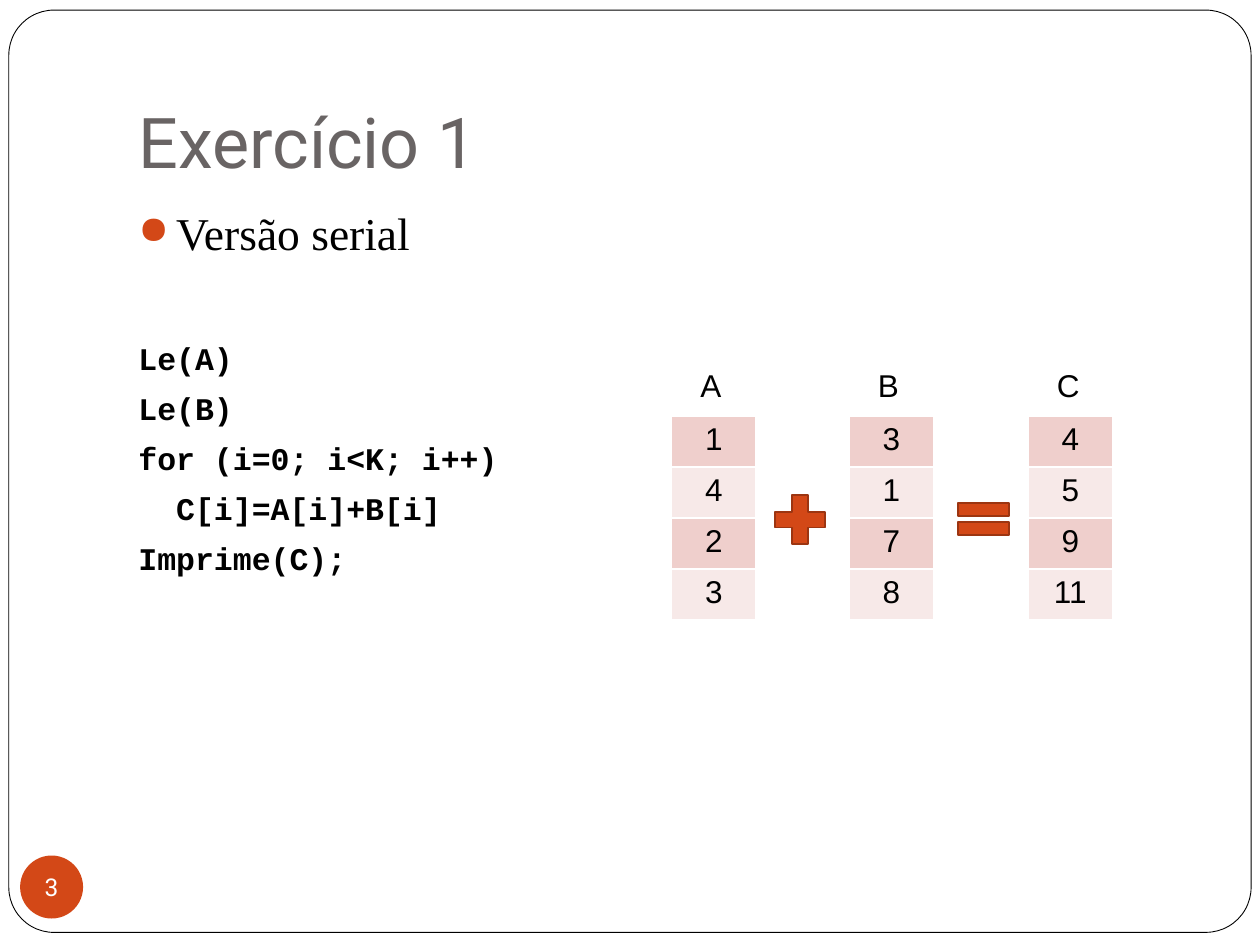
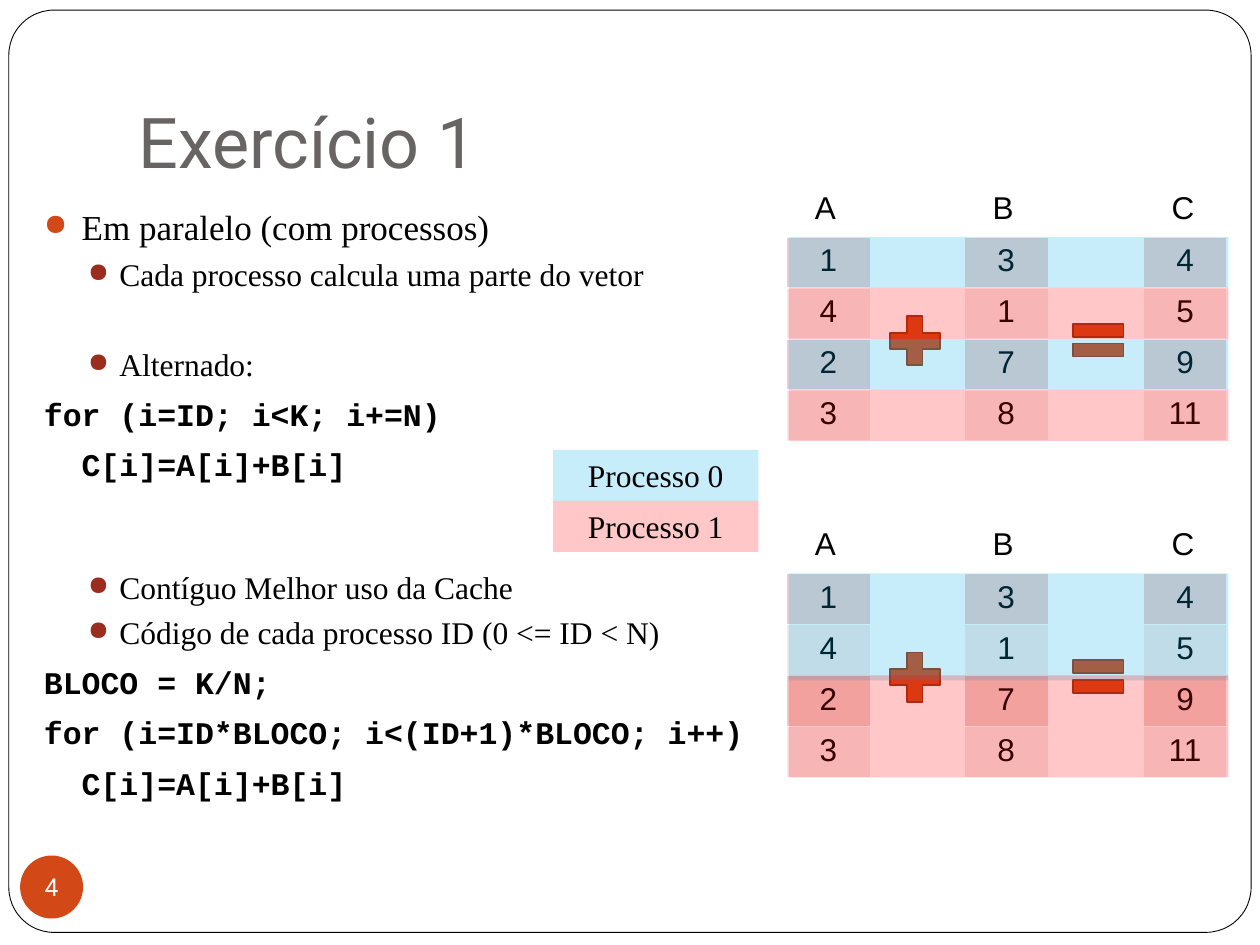
"""Build two slides on adding vectors, serially and in parallel."""
from dataclasses import dataclass

from lxml import etree
from pptx import Presentation
from pptx.dml.color import RGBColor
from pptx.enum import shapes, text
from pptx.oxml import ns
from pptx.util import Inches, Pt


@dataclass(frozen=True)
class Theme:
    """Colours, fonts and type sizes shared by the slides."""
    title: str = "696464"
    accent: str = "D34817"
    accent_line: str = "9C3511"
    sub_bullet: str = "9B2D1F"
    black: str = "000000"
    white: str = "FFFFFF"
    rows: tuple = ("EFCFCC", "F7E9E8")
    processes: tuple = ("00B0F0", "FF0000")
    opacity: int = 22
    heading_font: str = "Roboto"
    body_font: str = "Times New Roman"
    code_font: str = "Courier New"
    vector_font: str = "Arial"
    title_size: int = 40
    text_size: int = 18
    number_size: int = 14


THEME = Theme()


@dataclass(frozen=True)
class Line:
    """One paragraph of body text; extra is added space above, in points."""
    words: str
    kind: str = "code"
    size: int = THEME.text_size
    extra: float = 0


@dataclass(frozen=True)
class LineKind:
    """Indents in inches, space above in points, bullet colour and font."""
    margin: float
    hanging: float
    before: float
    bullet: str = ""
    font: str = THEME.body_font
    bold: bool = False


@dataclass(frozen=True)
class Vector:
    """A named column of numbers and its offset within the sum."""
    name: str
    values: tuple
    offset: float


KINDS = {
    "point": LineKind(0.3, -0.3, 5.8, THEME.accent),
    "sub": LineKind(0.6, -0.25, 4.5, THEME.sub_bullet),
    "code": LineKind(0, 0, 7, font=THEME.code_font, bold=True),
    "inner": LineKind(0.3, 0, 7, font=THEME.code_font, bold=True),
}
VECTORS = (
    Vector("A", (1, 4, 2, 3), 0),
    Vector("B", (3, 1, 7, 8), 1.41),
    Vector("C", (4, 5, 9, 11), 2.83),
)
CELL_WIDTH, ROW_HEIGHT = 0.67, 0.405
BAND_INSET, BAND_WIDTH = 0.02, 3.49

SERIAL = (
    Line("Versão serial", "point", 26),
    Line("Le(A)", extra=38),
    Line("Le(B)"),
    Line("for (i=0; i<K; i++)"),
    Line("C[i]=A[i]+B[i]", "inner"),
    Line("Imprime(C);"),
)
PARALLEL = (
    Line("Em paralelo (com processos)", "point", 20),
    Line("Cada processo calcula uma parte do vetor", "sub"),
    Line("Alternado:", "sub", extra=25.2),
    Line("for (i=ID; i<K; i+=N)"),
    Line("C[i]=A[i]+B[i]", "inner"),
    Line("Contíguo Melhor uso da Cache", "sub", extra=44),
    Line("Código de cada processo ID (0 <= ID < N)", "sub"),
    Line("BLOCO = K/N;"),
    Line("for (i=ID*BLOCO; i<(ID+1)*BLOCO; i++)"),
    Line("C[i]=A[i]+B[i]", "inner"),
)


def rgb(colour: str) -> RGBColor:
    """Turn a hex string into a colour."""
    return RGBColor.from_string(colour)


def box(left: float, top: float, width: float, height: float) -> tuple:
    """Turn inches into the four lengths of a frame."""
    return tuple(Inches(value) for value in (left, top, width, height))


def write(paragraph, words: str, *, size: float = THEME.text_size,
          font: str = THEME.body_font, colour: str = THEME.black,
          bold: bool = False, align=text.PP_ALIGN.LEFT) -> None:
    """Put formatted text in a paragraph."""
    paragraph.alignment = align
    run = paragraph.add_run()
    run.text = words
    run.font.size = Pt(size)
    run.font.name = font
    run.font.bold = bold
    run.font.color.rgb = rgb(colour)


def add_shape(slide, preset, frame: tuple, *, fill: str = "", line: str = "",
              line_width: float = 1, opacity: int = 100):
    """Add a preset shape without a shadow."""
    shape = slide.shapes.add_shape(preset, *box(*frame))
    shape.shadow.inherit = False
    if fill:
        shape.fill.solid()
        shape.fill.fore_color.rgb = rgb(fill)
        if opacity < 100:
            colour = shape._element.spPr.find(".//" + ns.qn("a:srgbClr"))
            etree.SubElement(colour, ns.qn("a:alpha"), val=str(opacity * 1000))
    else:
        shape.fill.background()
    if line:
        shape.line.color.rgb = rgb(line)
        shape.line.width = Pt(line_width)
    else:
        shape.line.fill.background()
    return shape


def add_base(presentation, title: str, number: int):
    """Add a slide with its border, title and number badge."""
    slide = presentation.slides.add_slide(presentation.slide_layouts[5])
    border = add_shape(slide, shapes.MSO_SHAPE.ROUNDED_RECTANGLE,
                       (0.07, 0.08, 9.86, 7.32), line=THEME.black, line_width=0.5)
    border.adjustments[0] = 0.049

    heading = slide.shapes.title
    heading.left, heading.top, heading.width, heading.height = box(1, 0.3, 8.5, 1.25)
    frame = heading.text_frame
    frame.vertical_anchor = text.MSO_ANCHOR.BOTTOM
    frame.margin_bottom = Inches(0.1)
    write(frame.paragraphs[0], title, size=THEME.title_size,
          font=THEME.heading_font, colour=THEME.title)

    badge = add_shape(slide, shapes.MSO_SHAPE.OVAL, (0.16, 6.79, 0.5, 0.5),
                      fill=THEME.accent)
    frame = badge.text_frame
    frame.margin_left = frame.margin_right = frame.margin_top = frame.margin_bottom = 0
    frame.word_wrap = False
    frame.vertical_anchor = text.MSO_ANCHOR.MIDDLE
    write(frame.paragraphs[0], str(number), size=THEME.number_size,
          font=THEME.heading_font, colour=THEME.white, align=text.PP_ALIGN.CENTER)
    return slide


def set_indent(paragraph, kind: LineKind) -> None:
    """Set a paragraph's indents and, where it has one, its bullet."""
    properties = paragraph._p.get_or_add_pPr()
    properties.set("marL", str(Inches(kind.margin)))
    properties.set("indent", str(Inches(kind.hanging)))
    if kind.bullet:
        colour = etree.SubElement(properties, ns.qn("a:buClr"))
        etree.SubElement(colour, ns.qn("a:srgbClr"), val=kind.bullet)
        etree.SubElement(properties, ns.qn("a:buSzPct"), val="85000")
        etree.SubElement(properties, ns.qn("a:buChar"), char="●")
    else:
        etree.SubElement(properties, ns.qn("a:buNone"))


def add_body(slide, left: float, lines: tuple) -> None:
    """Add the bullets and code of a slide."""
    frame = slide.shapes.add_textbox(*box(left, 1.58, 8.5, 5)).text_frame
    frame.word_wrap = True
    for index, line in enumerate(lines):
        paragraph = frame.add_paragraph() if index else frame.paragraphs[0]
        kind = KINDS[line.kind]
        paragraph.space_before = Pt(kind.before + line.extra)
        set_indent(paragraph, kind)
        write(paragraph, line.words, size=line.size, font=kind.font, bold=kind.bold)


def set_borders(cell) -> None:
    """Give a table cell thin white borders."""
    properties = cell._tc.get_or_add_tcPr()
    for index, side in enumerate(("lnL", "lnR", "lnT", "lnB")):
        border = etree.Element(ns.qn("a:" + side), w=str(Pt(1)))
        fill = etree.SubElement(border, ns.qn("a:solidFill"))
        etree.SubElement(fill, ns.qn("a:srgbClr"), val=THEME.white)
        properties.insert(index, border)


def add_vector(slide, vector: Vector, left: float, top: float) -> None:
    """Add a one-column table with its name above."""
    rows = len(vector.values)
    table = slide.shapes.add_table(
        rows, 1, *box(left, top, CELL_WIDTH, rows * ROW_HEIGHT)).table
    table.first_row = table.horz_banding = False
    for index, value in enumerate(vector.values):
        cell = table.cell(index, 0)
        cell.fill.solid()
        cell.fill.fore_color.rgb = rgb(THEME.rows[index % 2])
        set_borders(cell)
        write(cell.text_frame.paragraphs[0], str(value), font=THEME.vector_font,
              align=text.PP_ALIGN.CENTER)
    label = slide.shapes.add_textbox(*box(left + 0.13, top - 0.44, 0.4, 0.4))
    label.text_frame.word_wrap = True
    write(label.text_frame.paragraphs[0], vector.name, font=THEME.vector_font)


def add_sum(slide, left: float, top: float) -> None:
    """Draw A + B = C as three vectors and two signs."""
    for vector in VECTORS:
        add_vector(slide, vector, left + vector.offset, top)
    signs = (
        (shapes.MSO_SHAPE.MATH_PLUS, (left + 0.75, top + 0.56, 0.54, 0.53)),
        (shapes.MSO_SHAPE.MATH_EQUAL, (left + 2.2, top + 0.6, 0.55, 0.44)),
    )
    for preset, frame in signs:
        add_shape(slide, preset, frame, fill=THEME.accent, line=THEME.accent_line)


def add_band(slide, process: int, frame: tuple, label: str = "") -> None:
    """Add a translucent band in a process's colour."""
    band = add_shape(slide, shapes.MSO_SHAPE.RECTANGLE, frame,
                     fill=THEME.processes[process], opacity=THEME.opacity)
    if label:
        band.text_frame.vertical_anchor = text.MSO_ANCHOR.MIDDLE
        write(band.text_frame.paragraphs[0], label, align=text.PP_ALIGN.CENTER)


def add_serial(presentation) -> None:
    """Add the serial version."""
    slide = add_base(presentation, "Exercício 1", 3)
    add_body(slide, 1, SERIAL)
    add_sum(slide, 5.33, 3.3)


def add_parallel(presentation) -> None:
    """Add the parallel version, with alternate and contiguous shares."""
    slide = add_base(presentation, "Exercício 1", 4)
    add_body(slide, 0.25, PARALLEL)
    left, alternate_top, block_top = 6.24, 1.88, 4.55
    band_left = left + BAND_INSET

    add_sum(slide, left, alternate_top)
    for row in range(4):
        top = alternate_top + row * ROW_HEIGHT
        add_band(slide, row % 2, (band_left, top, BAND_WIDTH, ROW_HEIGHT))
    for process in range(2):
        add_band(slide, process, (4.39, 3.57 + process * ROW_HEIGHT, 1.63, ROW_HEIGHT),
                 f"Processo {process}")

    add_sum(slide, left, block_top)
    for process, height in enumerate((0.85, 0.81)):
        top = block_top + process * 2 * ROW_HEIGHT
        add_band(slide, process, (band_left, top, BAND_WIDTH, height))


def main() -> None:
    """Build and save the presentation."""
    presentation = Presentation()
    presentation.slide_width, presentation.slide_height = Inches(10), Inches(7.5)
    add_serial(presentation)
    add_parallel(presentation)
    presentation.save("out.pptx")


main()
